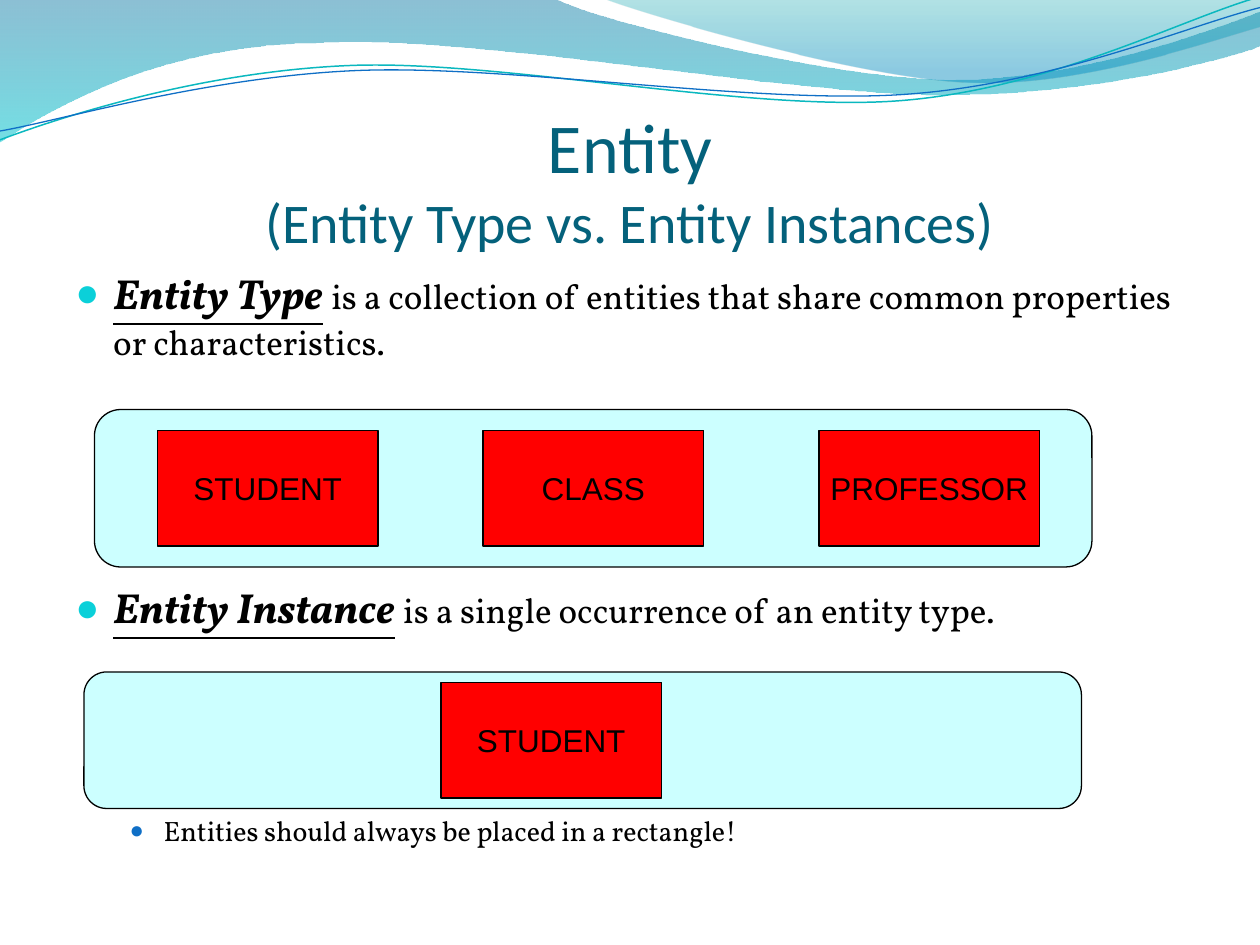
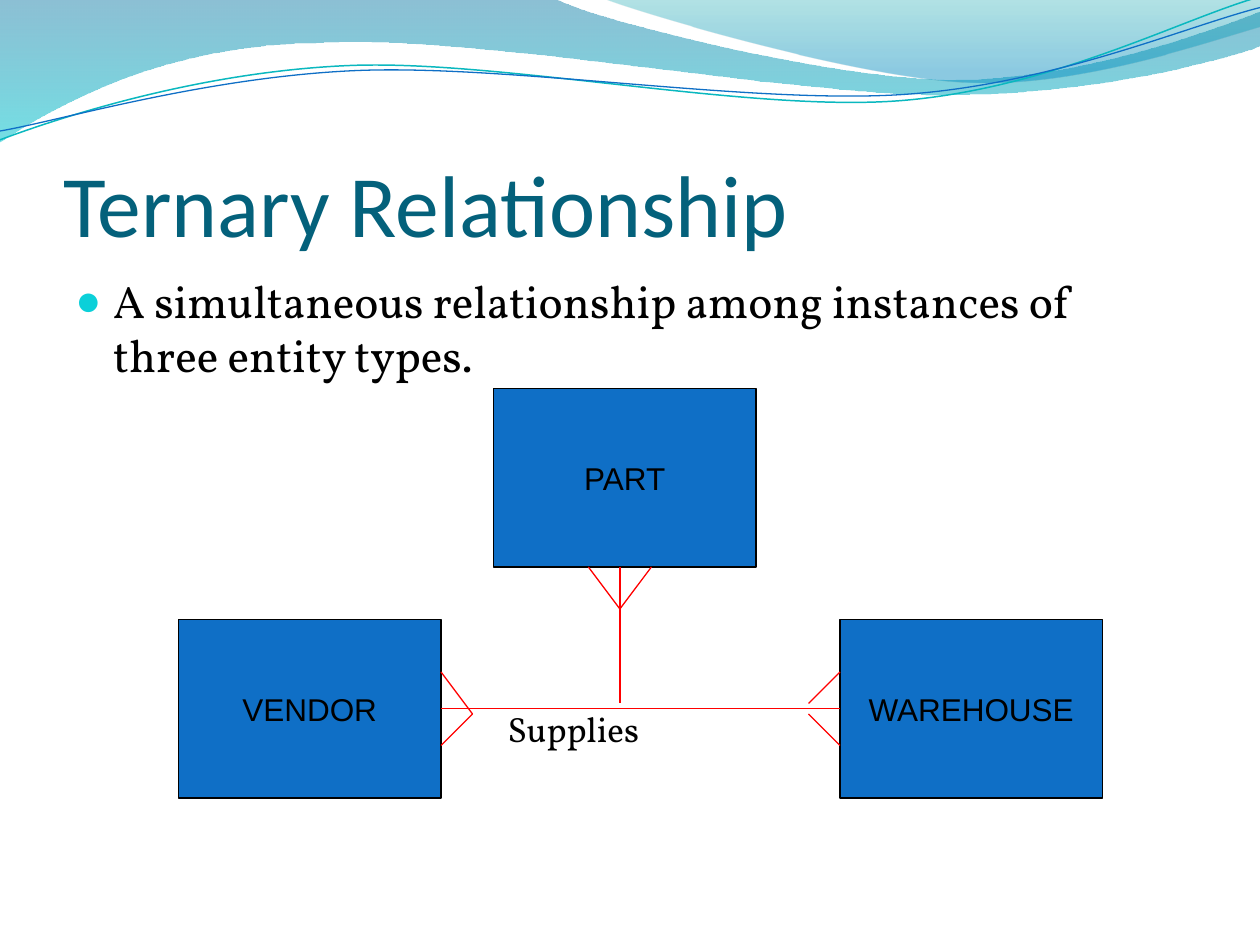
from math import cos, radians, sin

from lxml import etree
from pptx import Presentation
from pptx import util as u
from pptx.dml.color import RGBColor
from pptx.enum import shapes, text
from pptx.oxml.ns import qn

COLOURS = {
    "title": "04617B", "ink": "000000", "bullet": "0BD0D9", "sub_bullet": "0F6FC6",
    "panel": "CCFFFF", "red": "FF0000", "blue": "0F6FC6", "teal_line": "0AB8BF",
    "deep": "0074A1", "aqua": "00C6CF", "green": "00A1A9", "sky": "008BBF",
}
COLUMNS, ROWS = 120, 90
TITLE_BOX = (6, 9.3, 108, 15)
BODY_BOX = (6, 25.4, 108, 57.6)
TILT = 357.3

deck = Presentation()
deck.slide_width, deck.slide_height = u.Inches(10), u.Inches(7.5)
layout = deck.slide_layouts[5]

LEFT_WAVE = [
    (0, -0.01), (4.4, -0.01),
    (4.76, 0.17, 6.64, 0.63, 7.58, 0.63), (8.53, 0.63, 9.58, 0.26, 10, 0.09),
    (10.01, 0.36),
    (9.83, 0.44, 8.7, 0.76, 7.46, 0.75), (6.22, 0.75, 3.82, 0.28, 2.57, 0.34),
    (1.29, 0.35, 0.46, 0.83, -0.01, 1.13), (0, -0.01)]
RIGHT_WAVE = [
    (4.79, -0.01),
    (5.09, 0.11, 6.82, 0.62, 7.69, 0.65), (8.56, 0.69, 9.61, 0.32, 10, 0.21),
    (10, 0), (4.79, -0.01)]
TEAL_CURVE = [
    (0, 1.11),
    (0.48, 0.93, 1.58, 0.57, 2.77, 0.52), (3.95, 0.47, 5.93, 0.89, 7.13, 0.8),
    (8.33, 0.71, 9.38, 0.15, 9.98, -0.02)]
BLUE_CURVE = [
    (0, 1.04),
    (0.47, 0.96, 1.64, 0.61, 2.83, 0.56), (4.03, 0.51, 5.97, 0.83, 7.17, 0.75),
    (8.36, 0.67, 9.41, 0.21, 10, 0.06)]


def colour(name):
    """Return the named colour."""
    return RGBColor.from_string(COLOURS[name])


def grid(column, row):
    """Turn a column and a row into slide lengths."""
    return (u.Emu(round(deck.slide_width * column / COLUMNS)),
            u.Emu(round(deck.slide_height * row / ROWS)))


def place(box):
    """Turn a grid box into left, top, width and height."""
    return grid(*box[:2]) + grid(*box[2:])


def level(steps, centre):
    """Turn the steps of a tilted curve back to level about its centre."""
    cx, cy = centre
    c, s = cos(radians(-TILT)), sin(radians(-TILT))
    return [tuple(value for x, y in zip(step[::2], step[1::2])
                  for value in (cx + (x - cx) * c - (y - cy) * s,
                                cy + (x - cx) * s + (y - cy) * c))
            for step in steps]


def add_outline(page, steps, closed):
    """Add a freeform whose six-number steps are cubic curves."""
    points = [(u.Inches(x), u.Inches(y))
              for step in steps for x, y in zip(step[::2], step[1::2])]
    builder = page.shapes.build_freeform(*points[0])
    builder.add_line_segments(points[1:], close=closed)
    shape = builder.convert_to_shape()
    shape.shadow.inherit = False
    segments = iter(list(shape._element.spPr.iter(qn("a:lnTo"))))
    for step in steps[1:]:
        segment = next(segments)
        if len(step) == 6:
            segment.tag = qn("a:cubicBezTo")
            for _ in range(2):
                extra = next(segments)
                segment.append(extra[0])
                extra.getparent().remove(extra)
    return shape


def add_wave(page, steps, stops):
    """Add a wave with a see-through downward gradient."""
    wave = add_outline(page, steps, True)
    wave.line.fill.background()
    wave.fill.gradient()
    wave.fill.gradient_angle = 270
    for stop, (position, name, _) in zip(wave.fill.gradient_stops, stops):
        stop.position = position
        stop.color.rgb = colour(name)
    for tint, (_, _, opacity) in zip(wave._element.spPr.iter(qn("a:srgbClr")), stops):
        etree.SubElement(tint, qn("a:alpha"), val=str(opacity * 1000))
    return wave


def add_curve(page, steps, centre, name, width):
    """Add a thin open curve, tilted about its centre."""
    curve = add_outline(page, level(steps, centre), False)
    curve.rotation = TILT
    curve.fill.background()
    curve.line.color.rgb = colour(name)
    curve.line.width = u.Pt(width)
    return curve


def add_banner(page):
    """Draw the top waves and hand them to the shared layout."""
    waves = [add_wave(page, LEFT_WAVE, [(0, "deep", 45), (1, "aqua", 55)]),
             add_wave(page, RIGHT_WAVE, [(0, "green", 30), (0.8, "sky", 45)])]
    curves = [add_curve(page, TEAL_CURVE, (4.99, 0.575), "teal_line", 0.85),
              add_curve(page, BLUE_CURVE, (4.995, 0.59), "blue", 0.75)]
    parts = waves + [page.shapes.add_group_shape(curves)]
    for index, part in enumerate(parts):
        layout.shapes._spTree.insert(2 + index, part._element)
    for index, label in enumerate(layout.shapes._spTree.iter(qn("p:cNvPr"))):
        label.set("id", str(index + 1))


def add_span(para, words, size, font="Vollkorn", name="ink", strong=False):
    """Add one run of text."""
    span = para.add_run()
    span.text = words
    span.font.size, span.font.name = u.Pt(size), font
    span.font.color.rgb = colour(name)
    span.font.bold = span.font.italic = span.font.underline = strong


def add_page(title_lines, align):
    """Add a slide and format its title."""
    page = deck.slides.add_slide(layout)
    title = page.shapes.title
    title.left, title.top, title.width, title.height = place(TITLE_BOX)
    frame = title.text_frame
    frame.auto_size = text.MSO_AUTO_SIZE.NONE
    frame.vertical_anchor = text.MSO_ANCHOR.BOTTOM
    frame.margin_left = frame.margin_right = frame.margin_bottom = 0
    frame.margin_top = u.Inches(0.05)
    para = frame.paragraphs[0]
    para.alignment = align
    for index, (words, size) in enumerate(title_lines):
        if index:
            para.add_line_break()
        add_span(para, words, size, "Calibri", "title")
    return page


def add_body(page, paras):
    """Add the body text from (spans, left, hang, before, spacing, bullet)."""
    frame = page.shapes.add_textbox(*place(BODY_BOX)).text_frame
    frame.word_wrap = True
    for index, (spans, left, hang, before, spacing, bullet) in enumerate(paras):
        para = frame.add_paragraph() if index else frame.paragraphs[0]
        para.space_before = u.Pt(before)
        para.line_spacing = spacing
        for span in spans:
            add_span(para, *span[:2], strong=len(span) > 2)
        props = para._p.get_or_add_pPr()
        props.set("marL", str(u.Inches(left)))
        props.set("indent", str(-u.Inches(hang)))
        if bullet:
            name, percent = bullet
            tint = etree.SubElement(props, qn("a:buClr"))
            etree.SubElement(tint, qn("a:srgbClr"), val=COLOURS[name])
            etree.SubElement(props, qn("a:buSzPct"), val=str(percent * 1000))
            etree.SubElement(props, qn("a:buFont"), typeface="Arial")
            etree.SubElement(props, qn("a:buChar"), char="●")


def add_block(page, kind, box, fill, words=""):
    """Add an outlined shape with an optional centred label."""
    block = page.shapes.add_shape(kind, *place(box))
    block.shadow.inherit = False
    block.fill.solid()
    block.fill.fore_color.rgb = colour(fill)
    block.line.color.rgb = colour("ink")
    block.line.width = u.Pt(0.75)
    if words:
        frame = block.text_frame
        frame.word_wrap = False
        frame.vertical_anchor = text.MSO_ANCHOR.MIDDLE
        frame.paragraphs[0].alignment = text.PP_ALIGN.CENTER
        add_span(frame.paragraphs[0], words, 18, "Arial")


def add_panel(page, box, inset, entities):
    """Add a rounded panel holding entities at given column offsets."""
    kinds = shapes.MSO_SHAPE
    add_block(page, kinds.FLOWCHART_ALTERNATE_PROCESS, box, "panel")
    for words, offset in entities:
        add_block(page, kinds.FLOWCHART_PROCESS,
                  (box[0] + offset, box[1] + inset, 21, 11), "red", words)


def add_relationship(page, box):
    """Draw three entities joined by crow's-foot lines."""
    left, top, width, height = box
    wide, tall = 25, 17
    right, low, middle = width - wide, height - tall, 42.04
    for words, x, y in (("VENDOR", 0, low), ("PART", 30, 0), ("WAREHOUSE", right, low)):
        add_block(page, shapes.MSO_SHAPE.RECTANGLE, (left + x, top + y, wide, tall),
                  "blue", words)
    links = [(wide, 30.5, right, 30.5), (middle, tall, middle, 30),
             (right - 3, 30, right, 27), (right - 3, 31, right, 34)]
    links += [(middle, tall + 4, middle + spread, tall) for spread in (-3, 3)]
    links += [(wide, y, wide + 3, 31) for y in (34, 27)]
    for x1, y1, x2, y2 in links:
        link = page.shapes.add_connector(shapes.MSO_CONNECTOR.STRAIGHT,
                                         *grid(left + x1, top + y1),
                                         *grid(left + x2, top + y2))
        link.line.color.rgb = colour("red")
        link.line.width = u.Pt(0.75)
        etree.SubElement(link._element.spPr, qn("a:effectLst"))
        link._element.remove(link._element.find(qn("p:style")))


def build_entity_page():
    """Build the slide on entity types and instances."""
    page = add_page([("Entity", 40), ("(Entity Type vs. Entity Instances)", 32)],
                    text.PP_ALIGN.CENTER)
    main, sub = ("bullet", 95), ("sub_bullet", 85)
    add_body(page, [
        ([("Entity Type", 24, True), (" ", 24),
          ("is a collection of entities that share common properties "
           "or characteristics.", 20)], 0.3, 0.3, 5, u.Pt(25.6), main),
        ([("Entity Instance", 24, True), (" ", 24),
          ("is a single occurrence of an entity type.", 20)],
         0.3, 0.3, 128.5, 0.9, main),
        ([("Entities should always be placed in a rectangle!", 16)],
         0.7, 0.27, 105.5, 0.9, sub)])
    add_panel(page, (9, 39, 95, 15), 2,
              [("STUDENT", 6), ("PROFESSOR", 69), ("CLASS", 37)])
    add_panel(page, (8, 64, 95, 13), 1, [("STUDENT", 34)])
    return page


def build_ternary_page():
    """Build the slide on the ternary relationship."""
    page = add_page([("Ternary Relationship", 50)], text.PP_ALIGN.LEFT)
    add_body(page, [
        ([("A simultaneous relationship among instances of three entity types.", 26)],
         0.3, 0.3, 5.5, 1.0, ("bullet", 95)),
        ([("Supplies", 20)], 3.43, 0, 185.8, 1.0, None)])
    add_relationship(page, (17, 37, 88, 39))


add_banner(build_entity_page())
build_ternary_page()
deck.save("out.pptx")
